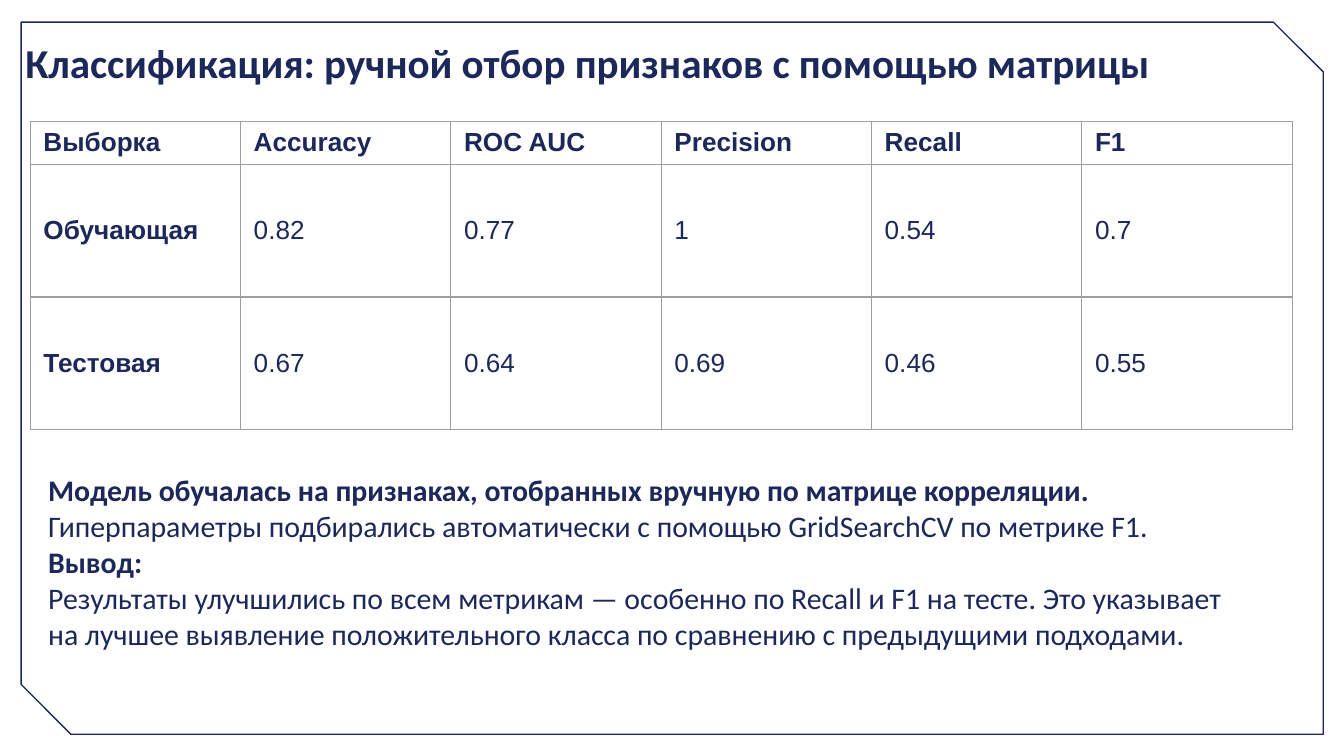
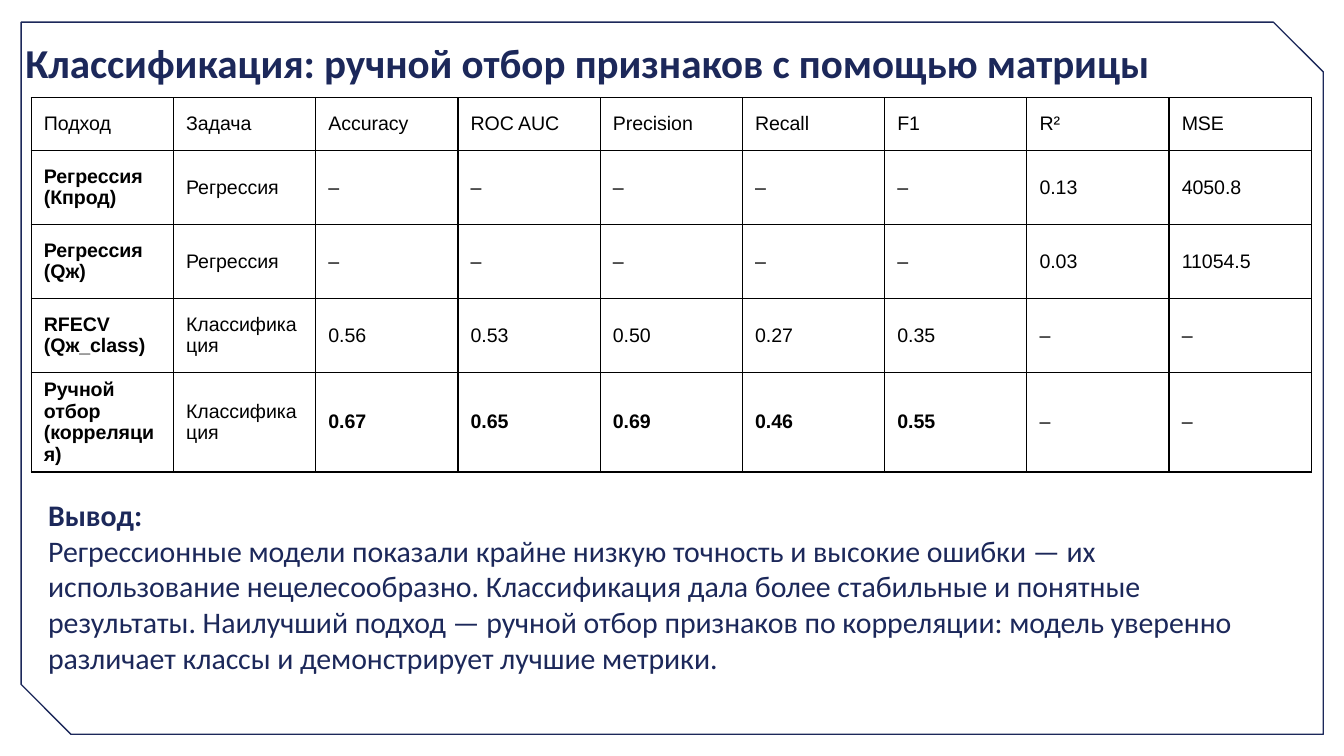
from lxml.etree import SubElement
from pptx import Presentation
from pptx.dml.color import RGBColor
from pptx.enum.shapes import MSO_SHAPE
from pptx.enum.text import MSO_ANCHOR, MSO_AUTO_SIZE, PP_ALIGN
from pptx.oxml.ns import qn
from pptx.util import Cm, Pt

NAVY, BLACK, GREY = "1C285A", "000000", "9E9E9E"
TITLE = "Классификация: ручной отбор признаков с помощью матрицы"
TEXT_LEFT, TEXT_WIDTH = 0.23, 24.97  # cm, shared by title and conclusion

# A leading * marks bold text. Lengths are in cm.
SLIDES = [
    {
        "rows": [
            ["*Выборка", "*Accuracy", "*ROC AUC", "*Precision", "*Recall", "*F1"],
            ["*Обучающая", "0.82", "0.77", "1", "0.54", "0.7"],
            ["*Тестовая", "0.67", "0.64", "0.69", "0.46", "0.55"],
        ],
        "place": (0.57, 2.29, 23.85),
        "row_heights": [0.81, 2.51, 2.51],
        "margins": (0.25, 0.13),
        "style": (14, NAVY, GREY),
        "conclusion_top": 9.93,
        "conclusion": [
            "*Модель обучалась на признаках, отобранных вручную по матрице корреляции.",
            "Гиперпараметры подбирались автоматически с помощью GridSearchCV по метрике F1.",
            "*Вывод:",
            "Результаты улучшились по всем метрикам — особенно по Recall и F1 на тесте. Это указывает",
            "на лучшее выявление положительного класса по сравнению с предыдущими подходами.",
        ],
    },
    {
        "rows": [
            ["Подход", "Задача", "Accuracy", "ROC AUC", "Precision", "Recall", "F1", "R²", "MSE"],
            ["*Регрессия (Кпрод)", "Регрессия", "–", "–", "–", "–", "–", "0.13", "4050.8"],
            ["*Регрессия (Qж)", "Регрессия", "–", "–", "–", "–", "–", "0.03", "11054.5"],
            ["*RFECV (Qж_class)", "Классификация", "0.56", "0.53", "0.50", "0.27", "0.35", "–", "–"],
            ["*Ручной отбор (корреляция)", "Классификация",
             "*0.67", "*0.65", "*0.69", "*0.46", "*0.55", "–", "–"],
        ],
        "place": (0.59, 1.85, 24.2),
        "row_heights": [0.99, 1.4, 1.4, 1.4, 1.8],
        "margins": (0.24, 0.12),
        "style": (10.5, BLACK, BLACK),
        "conclusion_top": 10.39,
        "conclusion": [
            "*Вывод:",
            "Регрессионные модели показали крайне низкую точность и высокие ошибки — их",
            "использование нецелесообразно. Классификация дала более стабильные и понятные",
            "результаты. Наилучший подход — ручной отбор признаков по корреляции: модель уверенно",
            "различает классы и демонстрирует лучшие метрики.",
        ],
    },
]


def color(value):
    return RGBColor.from_string(value)


def write(paragraph, text, size, font_name, font_color):
    """Fill a paragraph; a leading * makes it bold."""
    paragraph.text = text.removeprefix("*")
    paragraph.alignment = PP_ALIGN.LEFT
    for run in paragraph.runs:
        run.font.size = Pt(size)
        run.font.name = font_name
        run.font.bold = text.startswith("*")
        run.font.color.rgb = color(font_color)


def set_up_frame(text_frame, anchor):
    text_frame.word_wrap = True
    text_frame.auto_size = MSO_AUTO_SIZE.NONE
    text_frame.vertical_anchor = anchor
    text_frame.margin_left = text_frame.margin_right = Cm(0.25)
    text_frame.margin_top = text_frame.margin_bottom = Cm(0.25)


def add_border_to_layout(layout, slide):
    """Draw the snipped border and move it to the layout that all slides share."""
    border = slide.shapes.add_shape(
        MSO_SHAPE.SNIP_2_DIAG_RECTANGLE, Cm(0.4), Cm(0.42), Cm(24.61), Cm(13.46))
    border.adjustments[0] = 0
    border.adjustments[1] = 0.07
    border.shadow.inherit = False
    border.fill.background()
    border.line.color.rgb = color(NAVY)
    border.line.width = Pt(0.75)
    layout.element.cSld.spTree.insert(2, border.element)


def add_title(slide):
    title = slide.shapes.title
    title.left, title.top = Cm(TEXT_LEFT), Cm(0.46)
    title.width, title.height = Cm(TEXT_WIDTH), Cm(1.6)
    set_up_frame(title.text_frame, MSO_ANCHOR.TOP)
    write(title.text_frame.paragraphs[0], "*" + TITLE, 22, "Calibri", NAVY)


def add_conclusion(slide, top, lines):
    conclusion = slide.shapes.add_textbox(
        Cm(TEXT_LEFT), Cm(top), Cm(TEXT_WIDTH), Cm(1.37)).text_frame
    set_up_frame(conclusion, MSO_ANCHOR.MIDDLE)
    for index, line in enumerate(lines):
        paragraph = conclusion.add_paragraph() if index else conclusion.paragraphs[0]
        write(paragraph, line, 16, "Calibri", NAVY)
        properties = paragraph._p.get_or_add_pPr()
        properties.set("marL", str(Cm(1.27)))
        properties.set("indent", str(Cm(-0.84)))


def add_cell_borders(cell, border_color):
    properties = cell._tc.get_or_add_tcPr()
    for index, side in enumerate(("a:lnL", "a:lnR", "a:lnT", "a:lnB")):
        line = properties.makeelement(qn(side), {"w": str(Pt(0.75))})
        fill = SubElement(line, qn("a:solidFill"))
        SubElement(fill, qn("a:srgbClr"), val=border_color)
        properties.insert(index, line)


def add_metrics(slide, rows, place, row_heights, margins, style):
    left, top, width = place
    size, text_color, border_color = style
    metrics = slide.shapes.add_table(
        len(rows), len(rows[0]), Cm(left), Cm(top), Cm(width), Cm(sum(row_heights))).table
    metrics.first_row = metrics.horz_banding = False
    for row, height in zip(metrics.rows, row_heights):
        row.height = Cm(height)
    for row, texts in zip(metrics.rows, rows):
        for cell, text in zip(row.cells, texts):
            cell.fill.background()
            cell.vertical_anchor = MSO_ANCHOR.MIDDLE
            cell.margin_left = cell.margin_right = Cm(margins[0])
            cell.margin_top = cell.margin_bottom = Cm(margins[1])
            write(cell.text_frame.paragraphs[0], text, size, "Arial", text_color)
            add_cell_borders(cell, border_color)


def main():
    presentation = Presentation()
    presentation.slide_width, presentation.slide_height = Cm(25.4), Cm(14.29)
    title_only = presentation.slide_layouts[5]
    for index, content in enumerate(SLIDES):
        slide = presentation.slides.add_slide(title_only)
        if index == 0:
            add_border_to_layout(title_only, slide)
        add_title(slide)
        add_conclusion(slide, content["conclusion_top"], content["conclusion"])
        add_metrics(slide, content["rows"], content["place"], content["row_heights"],
                    content["margins"], content["style"])
    presentation.save("out.pptx")


if __name__ == "__main__":
    main()
